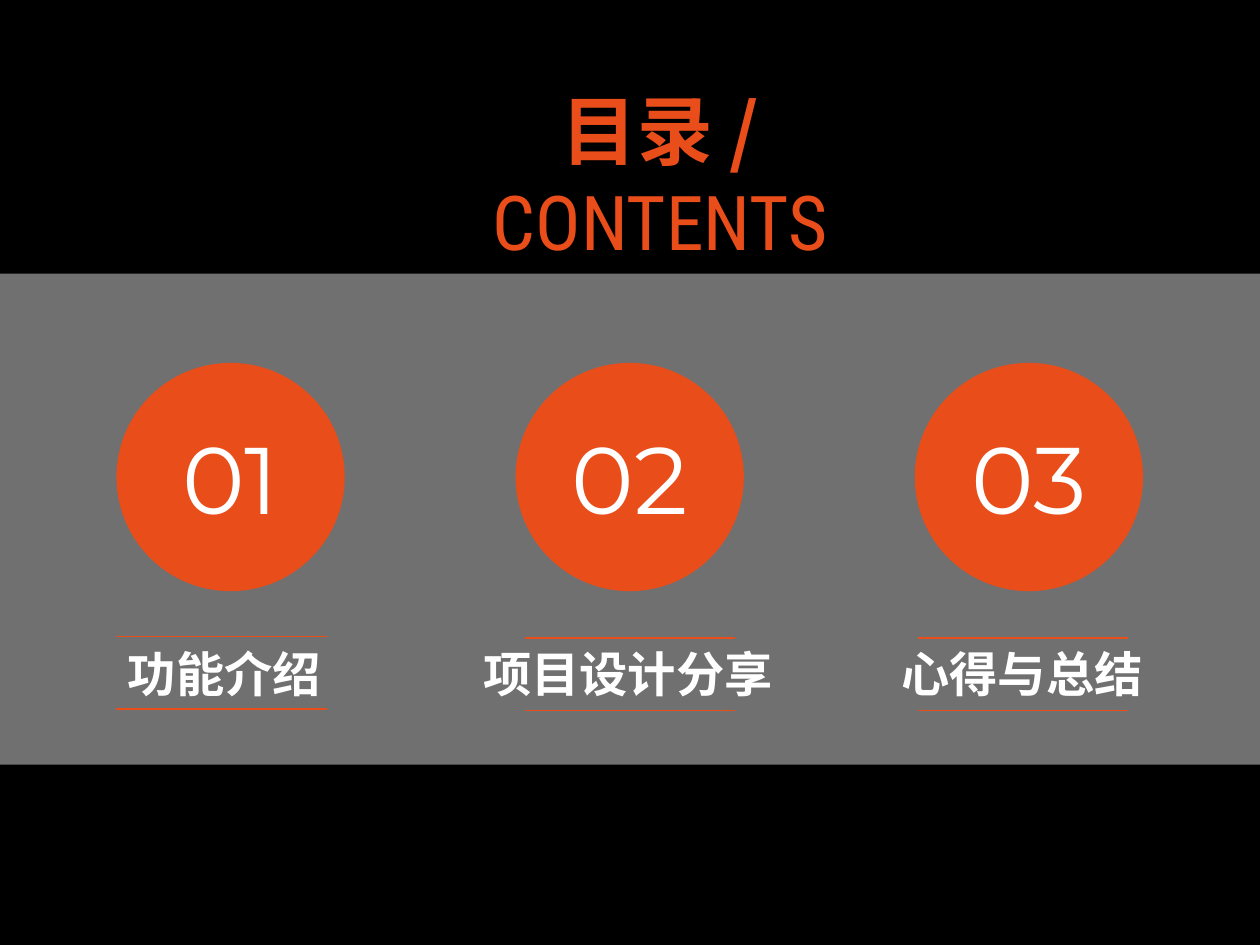
from collections import namedtuple
from dataclasses import dataclass

from lxml.etree import SubElement
from pptx import Presentation
from pptx.dml.color import RGBColor
from pptx.enum.shapes import MSO_CONNECTOR, MSO_SHAPE
from pptx.enum.text import MSO_ANCHOR, MSO_AUTO_SIZE, PP_ALIGN
from pptx.oxml.ns import qn
from pptx.util import Pt


@dataclass(frozen=True)
class Theme:
    background: RGBColor = RGBColor(0x00, 0x00, 0x00)
    band: RGBColor = RGBColor(0xE1, 0xE0, 0xE2)
    band_opacity: int = 50
    accent: RGBColor = RGBColor(0xE9, 0x4D, 0x1A)
    light: RGBColor = RGBColor(0xFF, 0xFF, 0xFF)
    chinese_font: str = "Noto Sans CJK SC"
    english_font: str = "Roboto Condensed"
    number_font: str = "Montserrat"
    title_size: int = 36
    number_size: int = 45
    label_size: int = 23
    rule_width: float = 0.75


THEME = Theme()
SLIDE_WIDTH, SLIDE_HEIGHT = 600, 450
CIRCLE_LEFT, CIRCLE_TOP, CIRCLE_SIZE, CIRCLE_STEP = 55.44, 172.8, 108.72, 190.08
LABEL_TOP, LABEL_HEIGHT = 303.12, 35.28
RULE_LENGTH, RULE_GAP = 100.08, 34.56

Section = namedtuple("Section", "label label_left label_width rule_left rule_top")
SECTIONS = [
    Section("功能介绍", 52.56, 108.72, 55.44, 303.12),
    Section("项目设计分享", 221.04, 156.24, 249.84, 303.84),
    Section("心得与总结", 420.48, 132.48, 437.04, 303.84),
]


def add_run(paragraph, text, font_name, size, color, bold=False):
    run = paragraph.add_run()
    run.text = text
    font = run.font
    font.name = font_name
    font.size = Pt(size)
    font.bold = bold
    font.color.rgb = color
    SubElement(font._element, qn("a:ea"), typeface=font_name)


def add_filled_shape(slide, kind, left, top, width, height, color, opacity=100):
    shape = slide.shapes.add_shape(kind, Pt(left), Pt(top), Pt(width), Pt(height))
    shape.shadow.inherit = False
    shape.fill.solid()
    shape.fill.fore_color.rgb = color
    shape.line.fill.background()
    if opacity < 100:
        color_element = shape._element.spPr.find(f"{qn('a:solidFill')}/{qn('a:srgbClr')}")
        SubElement(color_element, qn("a:alpha"), val=str(opacity * 1000))
    return shape


def set_title(slide):
    title = slide.shapes.title
    title.left, title.top, title.width, title.height = Pt(183), Pt(28.8), Pt(262.8), Pt(108.72)
    frame = title.text_frame
    frame.auto_size = MSO_AUTO_SIZE.NONE
    frame.vertical_anchor = MSO_ANCHOR.MIDDLE
    frame.margin_left = frame.margin_right = 0
    paragraph = frame.paragraphs[0]
    paragraph.alignment = PP_ALIGN.CENTER
    add_run(paragraph, "目录 /", THEME.chinese_font, THEME.title_size, THEME.accent, bold=True)
    paragraph.add_line_break()
    add_run(paragraph, "CONTENTS", THEME.english_font, THEME.title_size, THEME.accent)


def add_number_circle(slide, left, number):
    circle = add_filled_shape(
        slide, MSO_SHAPE.OVAL, left, CIRCLE_TOP, CIRCLE_SIZE, CIRCLE_SIZE, THEME.accent
    )
    circle.text_frame.vertical_anchor = MSO_ANCHOR.MIDDLE
    paragraph = circle.text_frame.paragraphs[0]
    paragraph.alignment = PP_ALIGN.CENTER
    add_run(paragraph, f"{number:02}", THEME.number_font, THEME.number_size, THEME.light)


def add_label(slide, section):
    box = slide.shapes.add_textbox(
        Pt(section.label_left), Pt(LABEL_TOP), Pt(section.label_width), Pt(LABEL_HEIGHT)
    )
    frame = box.text_frame
    frame.word_wrap = False
    frame.auto_size = MSO_AUTO_SIZE.SHAPE_TO_FIT_TEXT
    paragraph = frame.paragraphs[0]
    paragraph.alignment = PP_ALIGN.CENTER
    add_run(
        paragraph, section.label, THEME.chinese_font, THEME.label_size, THEME.light, bold=True
    )


def add_rule(slide, left, top):
    rule = slide.shapes.add_connector(
        MSO_CONNECTOR.STRAIGHT, Pt(left), Pt(top), Pt(left + RULE_LENGTH), Pt(top)
    )
    rule.line.color.rgb = THEME.accent
    rule.line.width = Pt(THEME.rule_width)
    SubElement(rule._element.spPr, qn("a:effectLst"))


def main():
    presentation = Presentation()
    presentation.slide_width = Pt(SLIDE_WIDTH)
    presentation.slide_height = Pt(SLIDE_HEIGHT)
    title_only = presentation.slide_layouts.get_by_name("Title Only")
    slide = presentation.slides.add_slide(title_only)
    slide.background.fill.solid()
    slide.background.fill.fore_color.rgb = THEME.background

    set_title(slide)
    add_filled_shape(
        slide, MSO_SHAPE.RECTANGLE, 0, 130.32, SLIDE_WIDTH, 233.8, THEME.band, THEME.band_opacity
    )
    for index, section in enumerate(SECTIONS):
        add_number_circle(slide, CIRCLE_LEFT + index * CIRCLE_STEP, index + 1)
        add_label(slide, section)
        for top in (section.rule_top, section.rule_top + RULE_GAP):
            add_rule(slide, section.rule_left, top)

    presentation.save("out.pptx")


if __name__ == "__main__":
    main()
